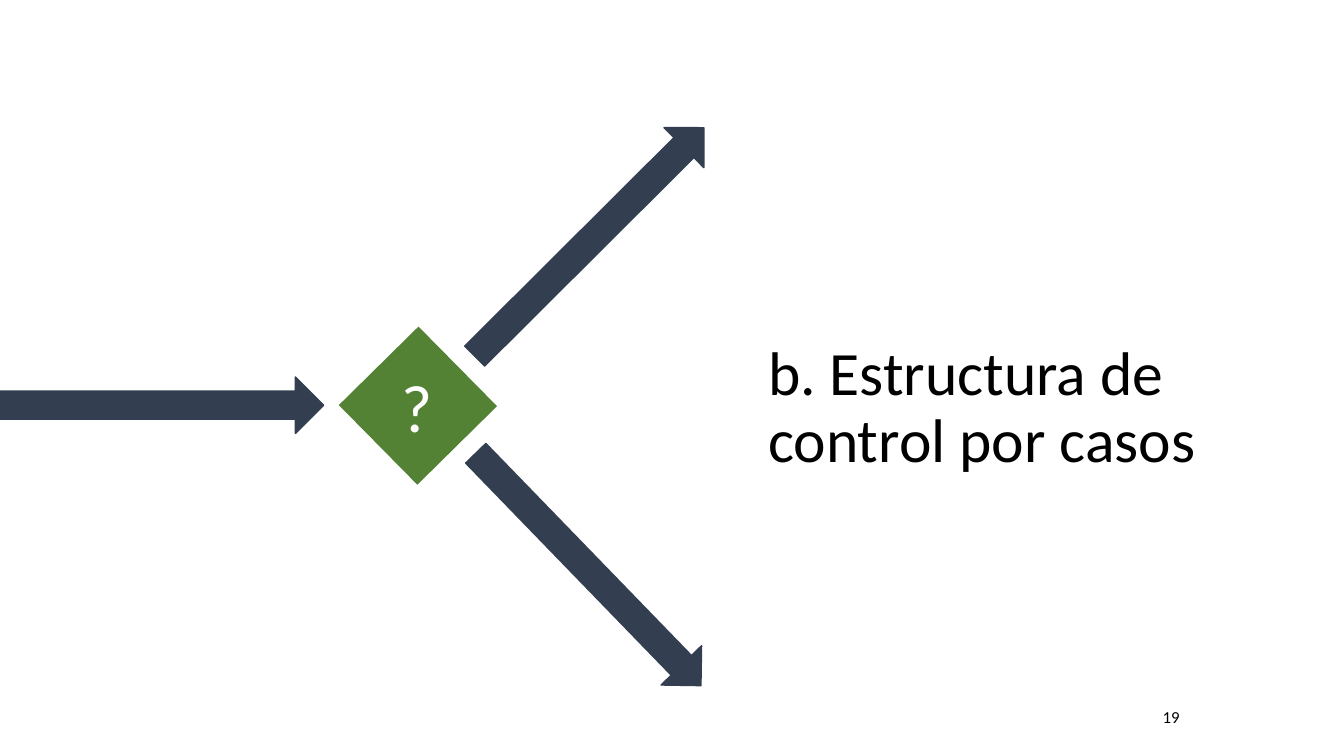
from pptx import Presentation
from pptx.dml.color import RGBColor
from pptx.enum.shapes import MSO_SHAPE as Shape
from pptx.enum.text import MSO_ANCHOR as Anchor, PP_ALIGN as Align
from pptx.util import Inches, Pt

NAVY = RGBColor(0x33, 0x3F, 0x50)
GREEN = RGBColor(0x54, 0x82, 0x35)
BLACK = RGBColor(0x00, 0x00, 0x00)
WHITE = RGBColor(0xFF, 0xFF, 0xFF)
FONT = "Calibri"
ARROW_SIZE = (3.21, 0.56)
DIAMOND_SIDE = 1.11


def add_text(page, box, text, size, color, anchor=Anchor.MIDDLE, align=Align.LEFT):
    frame = page.shapes.add_textbox(*map(Inches, box)).text_frame
    frame.word_wrap = True
    frame.vertical_anchor = anchor
    para = frame.paragraphs[0]
    para.alignment = align
    span = para.add_run()
    span.text = text
    span.font.name = FONT
    span.font.size = Pt(size)
    span.font.color.rgb = color
    return para


def add_block(page, kind, box, color, angle):
    block = page.shapes.add_shape(kind, *map(Inches, box))
    block.shadow.inherit = False
    block.rotation = angle
    block.fill.solid()
    block.fill.fore_color.rgb = color
    block.line.fill.background()
    return block


def add_decision(page, box):
    """Draw one arrow into a diamond and two arrows branching out of it."""
    left, top, width, height = box
    arrows = [(0, 1.62, 0), (4.24, 0, 315.1), (4.23, 3.25, 45.9)]
    for x, y, angle in arrows:
        arrow = add_block(page, Shape.RIGHT_ARROW,
                          (left + x, top + y, *ARROW_SIZE), NAVY, angle)
        arrow.line.color.rgb = NAVY
        arrow.line.width = Pt(1)
    diamond_left = left + 3.59
    diamond_top = top + (height - DIAMOND_SIDE) / 2
    add_block(page, Shape.RECTANGLE,
              (diamond_left, diamond_top, DIAMOND_SIDE, DIAMOND_SIDE), GREEN, 45.4)
    add_text(page, (diamond_left + 0.29, diamond_top + 0.1, 0.88, 0.91),
             "?", 48, WHITE, Anchor.TOP)


def add_title(page, box):
    add_text(page, box, "b. Estructura de control por casos", 44, BLACK).line_spacing = 0.9


def add_page_number(page, box):
    add_text(page, box, "19", 12, BLACK, align=Align.CENTER)


def main():
    deck = Presentation()
    deck.slide_width, deck.slide_height = Inches(13.33), Inches(7.5)
    page = deck.slides.add_slide(deck.slide_layouts[6])
    add_title(page, (7.52, 2.48, 5.4, 3.16))
    add_page_number(page, (11.27, 6.84, 0.69, 0.54))
    add_decision(page, (0, 2.12, 7.45, 3.81))
    deck.save("out.pptx")


if __name__ == "__main__":
    main()
